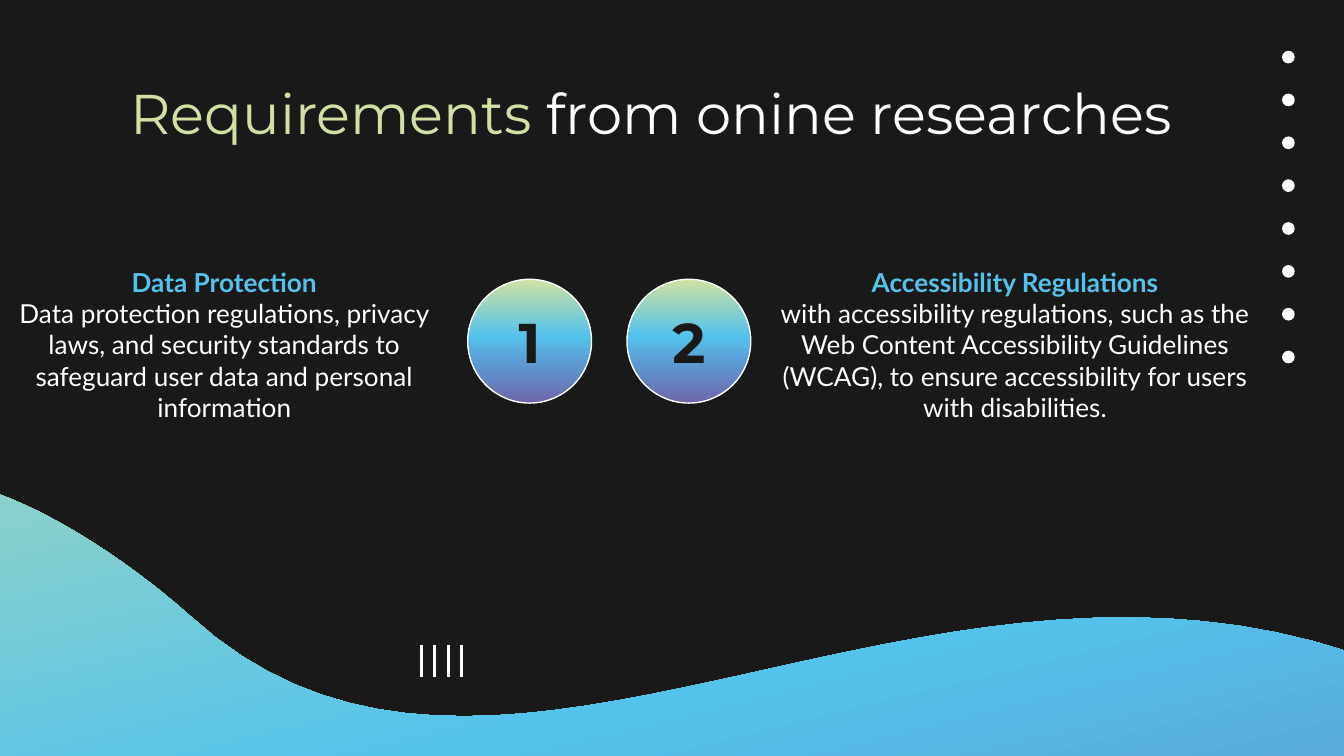
import math
import pptx
import pptx.dml.color
import pptx.enum.shapes
import pptx.enum.text
import pptx.oxml
import pptx.oxml.ns
import pptx.util

Cm = pptx.util.Cm
Pt = pptx.util.Pt

COLORS = {"dark": "191919", "white": "FFFFFF", "green": "D0E1A3",
          "sky": "53C3EC", "blue": "5C9CD5", "violet": "6E66AB"}
GRADIENT = [(0, "green"), (46, "sky"), (66, "blue"), (100, "violet")]

TITLE = [("Requirements ", "green"), ("from onine researches", "white")]
TITLE_FRAME = (0.71, 1.24, 23.19, 1.8)
REQUIREMENTS = [
    {"number": "1", "circle_left": 8.84, "frame": (0, 4.78, 8.48, 5.21),
     "heading": "Data Protection",
     "body": "Data protection regulations, privacy laws, and security standards "
             "to safeguard user data and personal information"},
    {"number": "2", "circle_left": 11.85, "frame": (14.45, 4.78, 9.47, 3.35),
     "heading": "Accessibility Regulations",
     "body": "with accessibility regulations, such as the Web Content Accessibility "
             "Guidelines (WCAG), to ensure accessibility for users with disabilities."},
]
CIRCLE_TOP, CIRCLE_SIZE, NUMBER_SIZE = 5.28, 2.34, 1.78
DOTS = {"count": 8, "left": 24.23, "top": 0.96, "pitch": 0.81, "size": 0.24}
BARS = {"count": 4, "left": 7.97, "top": 12.19, "bottom": 12.8, "pitch": 0.25}

WAVE_START = (-0.71, 9.14)
WAVE_SEGMENTS = [
    [(0.64, 9.42), (2.39, 10.57), (3.61, 11.66)],
    [(9.83, 17.32), (18.92, 7.82), (28.3, 13.64)],
    [(29.62, 19.02)],
    [(21.26, 21.08)],
    [(19.13, 19.61), (9.14, 18.42), (7.21, 18.49)],
    [(-1.73, 18.85), (-2.34, 19.86), (-4.29, 19.91)],
]
WAVE_CENTER = (11.52, 14.82)
WAVE_TILT = 13.8
CURVE_STEPS = 40


def rgb(name):
    return pptx.dml.color.RGBColor.from_string(COLORS[name])


def fill_gradient(shape):
    shape.fill.gradient()
    shape.fill.gradient_angle = 270
    stops = shape.element.spPr.find(".//" + pptx.oxml.ns.qn("a:gsLst"))
    for stop in list(stops):
        stops.remove(stop)
    for percent, name in GRADIENT:
        stops.append(pptx.oxml.parse_xml(
            f'<a:gs {pptx.oxml.ns.nsdecls("a")} pos="{percent * 1000}">'
            f'<a:srgbClr val="{COLORS[name]}"/></a:gs>'))


def add_oval(page, left, top, size):
    oval = page.shapes.add_shape(pptx.enum.shapes.MSO_SHAPE.OVAL,
                                 Cm(left), Cm(top), Cm(size), Cm(size))
    oval.shadow.inherit = False
    return oval


def add_text(page, frame, paragraphs, font, size, anchor="TOP", bold=False):
    box = page.shapes.add_textbox(*map(Cm, frame))
    text = box.text_frame
    text.word_wrap = True
    text.vertical_anchor = pptx.enum.text.MSO_ANCHOR[anchor]
    text.margin_left = text.margin_right = text.margin_top = text.margin_bottom = Cm(0.25)
    for index, spans in enumerate(paragraphs):
        para = text.add_paragraph() if index else text.paragraphs[0]
        para.alignment = pptx.enum.text.PP_ALIGN.CENTER
        para.font.name, para.font.size = font, Pt(size)
        para.font.bold = bold or (len(paragraphs) > 1 and index == 0)
        if len(spans) == 1:
            para.font.color.rgb = rgb(spans[0][1])
        for words, color in spans:
            span = para.add_run()
            span.text = words
            if len(spans) > 1:
                span.font.color.rgb = rgb(color)


def wave_outline():
    points = [WAVE_START]
    for segment in WAVE_SEGMENTS:
        if len(segment) == 1:
            points += segment
            continue
        corners = [points[-1], *segment]
        for step in range(1, CURVE_STEPS + 1):
            t = step / CURVE_STEPS
            weights = [math.comb(3, k) * t ** k * (1 - t) ** (3 - k) for k in range(4)]
            points.append(tuple(sum(w * corner[axis] for w, corner in zip(weights, corners))
                                for axis in (0, 1)))
    return points


def level(point):
    cosine, sine = math.cos(math.radians(WAVE_TILT)), math.sin(math.radians(WAVE_TILT))
    dx, dy = point[0] - WAVE_CENTER[0], point[1] - WAVE_CENTER[1]
    return (Cm(WAVE_CENTER[0] + dx * cosine - dy * sine),
            Cm(WAVE_CENTER[1] + dx * sine + dy * cosine))


def add_wave(page):
    start, *rest = map(level, wave_outline())
    builder = page.shapes.build_freeform(*start)
    builder.add_line_segments(rest, close=True)
    wave = builder.convert_to_shape()
    wave.rotation = 360 - WAVE_TILT
    wave.shadow.inherit = False
    wave.line.fill.background()
    fill_gradient(wave)


def add_dots(page):
    for index in range(DOTS["count"]):
        dot = add_oval(page, DOTS["left"], DOTS["top"] + index * DOTS["pitch"], DOTS["size"])
        dot.fill.solid()
        dot.fill.fore_color.rgb = rgb("white")
        dot.line.fill.background()


def add_bars(page):
    for index in range(BARS["count"]):
        x = Cm(BARS["left"] + index * BARS["pitch"])
        bar = page.shapes.add_connector(pptx.enum.shapes.MSO_CONNECTOR.STRAIGHT,
                                        x, Cm(BARS["top"]), x, Cm(BARS["bottom"]))
        bar.line.color.rgb = rgb("white")
        bar.line.width = Pt(1.5)
        bar.element.spPr.append(pptx.oxml.parse_xml(
            f'<a:effectLst {pptx.oxml.ns.nsdecls("a")}/>'))


def add_requirement(page, item):
    circle = add_oval(page, item["circle_left"], CIRCLE_TOP, CIRCLE_SIZE)
    fill_gradient(circle)
    circle.line.color.rgb = rgb("white")
    circle.line.width = Pt(0.75)
    inset = (CIRCLE_SIZE - NUMBER_SIZE) / 2
    add_text(page, (item["circle_left"] + inset, CIRCLE_TOP + inset, NUMBER_SIZE, NUMBER_SIZE),
             [[(item["number"], "dark")]], "Montserrat", 30, "MIDDLE", bold=True)
    add_text(page, item["frame"],
             [[(item["heading"], "sky")], [(item["body"], "white")]], "Lato", 14)


def main():
    deck = pptx.Presentation()
    deck.slide_width, deck.slide_height = Cm(25.4), Cm(14.29)
    page = deck.slides.add_slide(deck.slide_layouts[6])
    page.background.fill.solid()
    page.background.fill.fore_color.rgb = rgb("dark")
    add_wave(page)
    add_dots(page)
    add_bars(page)
    add_text(page, TITLE_FRAME, [TITLE], "Montserrat", 30)
    for item in REQUIREMENTS:
        add_requirement(page, item)
    deck.save("out.pptx")


if __name__ == "__main__":
    main()
